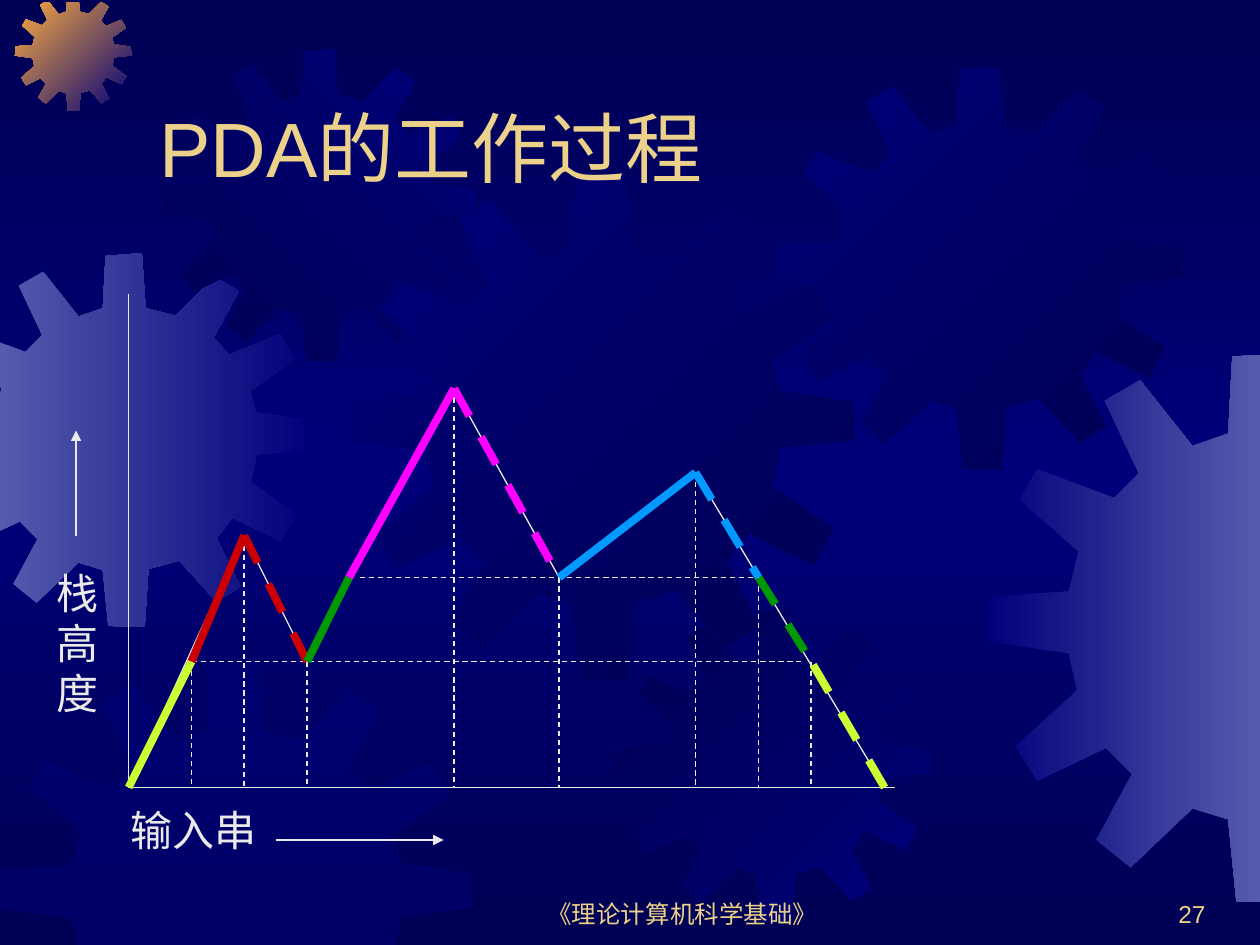
import copy
from dataclasses import dataclass
from typing import List, Optional, Tuple

import lxml.etree
import pptx
import pptx.dml.color
import pptx.enum.dml
import pptx.enum.shapes
import pptx.enum.text
import pptx.oxml.ns
import pptx.util

Pt = pptx.util.Pt
qn = pptx.oxml.ns.qn
ALIGN = pptx.enum.text.PP_ALIGN
ANCHOR = pptx.enum.text.MSO_ANCHOR
Point = Tuple[float, float]

WIDTH, HEIGHT, TOP_EDGE = 720, 540, 1.5
NAVY, BLUE, SLATE, ORANGE = "000054", "00007A", "555BAD", "FCAB40"
GOLD, WHITE = "EBD189", "EAEAEA"
LIME, RED, GREEN, SKY, MAGENTA = "CCFF33", "CC0000", "009900", "0099FF", "FF00FF"

GEAR_UNIT = 401
GEAR_OUTLINE = [
    (255, 67), (223, 59), (219, 0), (180, 3), (177, 59), (151, 68), (113, 20), (87, 35),
    (112, 88), (94, 106), (38, 85), (25, 107), (68, 145), (61, 174), (1, 178), (0, 210),
    (61, 219), (67, 246), (22, 287), (38, 312), (88, 288), (107, 307), (81, 355), (106, 375),
    (151, 332), (177, 340), (183, 400), (222, 401), (226, 339), (259, 330), (299, 374), (325, 358),
    (299, 306), (316, 284), (368, 309), (384, 281), (336, 246), (342, 216), (401, 210), (400, 180),
    (341, 171), (335, 148), (383, 114), (367, 87), (313, 109), (296, 91), (323, 41), (297, 25),
]


@dataclass
class Gear:
    left: float
    top: float
    size: float
    colors: Tuple[str, ...]
    angle: int = 0
    alpha: Optional[int] = None


@dataclass
class Label:
    text: str
    left: float
    top: float
    width: float
    height: float
    size: float
    color: str = GOLD
    font: str = "Arial"
    align: ALIGN = ALIGN.LEFT
    anchor: ANCHOR = ANCHOR.BOTTOM


@dataclass
class Line:
    start: Point
    end: Point
    color: str = WHITE
    width: float = 0.75
    dashed: bool = False
    arrow: bool = False


def rgb(value: str) -> pptx.dml.color.RGBColor:
    return pptx.dml.color.RGBColor.from_string(value)


def fill_gradient(fill, element, colors: Tuple[str, ...], angle: int) -> None:
    fill.gradient()
    fill.gradient_angle = (360 - angle) % 360
    stops = element.find(".//" + qn("a:gsLst"))
    for _ in colors[2:]:
        stops.append(copy.deepcopy(stops[0]))
    for i, (stop, color) in enumerate(zip(fill.gradient_stops, colors)):
        stop.position = i / (len(colors) - 1)
        stop.color.rgb = rgb(color)


def clip(points: List[Point], axis: int, limit: float, sign: int) -> List[Point]:
    kept = []
    for a, b in zip(points[-1:] + points[:-1], points):
        a_in, b_in = sign * (a[axis] - limit) >= 0, sign * (b[axis] - limit) >= 0
        if a_in != b_in:
            t = (limit - a[axis]) / (b[axis] - a[axis])
            kept.append((a[0] + t * (b[0] - a[0]), a[1] + t * (b[1] - a[1])))
        if b_in:
            kept.append(b)
    return kept


def draw_gear(s, gear: Gear) -> None:
    scale = gear.size / GEAR_UNIT
    points = [(gear.left + x * scale, gear.top + y * scale) for x, y in GEAR_OUTLINE]
    for axis, limit, sign in ((0, 0, 1), (0, WIDTH, -1), (1, TOP_EDGE, 1), (1, HEIGHT, -1)):
        points = clip(points, axis, limit, sign)
    points = [(Pt(x), Pt(y)) for x, y in points]
    builder = s.shapes.build_freeform(*points[0], scale=1.0)
    builder.add_line_segments(points[1:], close=True)
    sp = builder.convert_to_shape()
    sp.shadow.inherit = False
    sp.line.fill.background()
    if len(gear.colors) > 1:
        fill_gradient(sp.fill, sp._element, gear.colors, gear.angle)
    else:
        sp.fill.solid()
        sp.fill.fore_color.rgb = rgb(gear.colors[0])
    if gear.alpha is not None:
        color = sp._element.spPr.find(".//" + qn("a:srgbClr"))
        lxml.etree.SubElement(color, qn("a:alpha")).set("val", str(gear.alpha * 1000))


def draw_label(s, label: Label) -> None:
    sp = s.shapes.add_textbox(Pt(label.left), Pt(label.top), Pt(label.width), Pt(label.height))
    tf = sp.text_frame
    tf.word_wrap = True
    tf.vertical_anchor = label.anchor
    p = tf.paragraphs[0]
    p.alignment = label.align
    r = p.add_run()
    r.text = label.text
    r.font.name = label.font
    r.font.size = Pt(label.size)
    r.font.color.rgb = rgb(label.color)


def draw_line(s, line: Line) -> None:
    sp = s.shapes.add_connector(
        pptx.enum.shapes.MSO_CONNECTOR.STRAIGHT, *(Pt(v) for v in line.start + line.end))
    sp.line.color.rgb = rgb(line.color)
    sp.line.width = Pt(line.width)
    if line.dashed:
        sp.line.dash_style = pptx.enum.dml.MSO_LINE.DASH
    if line.arrow:
        lxml.etree.SubElement(sp.line._get_or_add_ln(), qn("a:tailEnd")).set("type", "triangle")
    lxml.etree.SubElement(sp._element.spPr, qn("a:effectLst"))


GEARS = [
    Gear(-35.5, 144.7, 213.5, (SLATE, BLUE)),
    Gear(8.6, -3, 66.4, (ORANGE, BLUE), 45),
    Gear(93.6, 28, 178.5, (NAVY, BLUE), 315),
    Gear(199.4, 100, 289, (BLUE, NAVY), 45),
    Gear(0, 378, 269.3, (BLUE,), alpha=50),
    Gear(353.5, 348.5, 178.5, (NAVY, BLUE), 45),
    Gear(445, 38, 230.5, (BLUE, NAVY), 45),
    Gear(563, 201.5, 314.5, (BLUE, SLATE)),
]

LABELS = [
    Label("《理论计算机科学基础》", 276, 498, 228, 36, 14, align=ALIGN.CENTER),
    Label("27", 546, 498, 150, 36, 14, align=ALIGN.RIGHT),
    Label("PDA的工作过程", 84, 24, 612, 90, 44),
    Label("输入串", 67.5, 456, 102, 36, 24, WHITE, "Arial Narrow", anchor=ANCHOR.TOP),
    Label("栈高度", 25.5, 320.5, 36, 93.5, 24, WHITE, "Arial Narrow", anchor=ANCHOR.TOP),
]

BASE, LOW, MIDDLE = 450, 378, 330
ORIGIN, FINISH = (73.5, BASE), (505.5, BASE)
LOW_RISE, LOW_FALL = (109.5, LOW), (463.5, LOW)
RED_PEAK, RED_VALLEY = (139.5, 306), (175.5, LOW)
MIDDLE_RISE, MIDDLE_FALL = (199.5, MIDDLE), (433.5, MIDDLE)
MAGENTA_PEAK, VALLEY, SKY_PEAK = (259.5, 222), (319.5, MIDDLE), (397.5, 270)

AXES = [
    Line(ORIGIN, (511.5, BASE)),
    Line(ORIGIN, (73.5, 168)),
    Line((157.5, 480), (253.5, 480), arrow=True),
    Line((43.5, 306), (43.5, 246), arrow=True),
]
PROFILE = [ORIGIN, RED_PEAK, RED_VALLEY, MAGENTA_PEAK, VALLEY, SKY_PEAK, FINISH]
DROPS = [LOW_RISE, LOW_FALL, (139.5, 312), RED_VALLEY, VALLEY, SKY_PEAK, MIDDLE_FALL, MAGENTA_PEAK]
LEVELS = [
    Line(LOW_RISE, (457.5, LOW), dashed=True),
    Line((205.5, MIDDLE), MIDDLE_FALL, dashed=True),
]
STAGES = [
    Line(LOW_RISE, ORIGIN, LIME, 4.5),
    Line(FINISH, LOW_FALL, LIME, 4.5, True),
    Line(RED_PEAK, LOW_RISE, RED, 4.5),
    Line(RED_VALLEY, RED_PEAK, RED, 4.5, True),
    Line(MIDDLE_RISE, RED_VALLEY, GREEN, 4.5),
    Line(MIDDLE_FALL, LOW_FALL, GREEN, 4.5, True),
    Line(SKY_PEAK, MIDDLE_FALL, SKY, 4.5, True),
    Line(SKY_PEAK, VALLEY, SKY, 4.5),
    Line(MAGENTA_PEAK, VALLEY, MAGENTA, 4.5, True),
    Line(MAGENTA_PEAK, MIDDLE_RISE, MAGENTA, 4.5),
]


def main() -> None:
    prs = pptx.Presentation()
    prs.slide_width, prs.slide_height = Pt(WIDTH), Pt(HEIGHT)
    s = prs.slides.add_slide(prs.slide_layouts[6])
    fill_gradient(s.background.fill, s._element, (NAVY, BLUE, NAVY), 90)
    for gear in GEARS:
        draw_gear(s, gear)
    for label in LABELS:
        draw_label(s, label)
    profile = [Line(a, b) for a, b in zip(PROFILE, PROFILE[1:])]
    drops = [Line(top, (top[0], BASE), dashed=True) for top in DROPS]
    for line in AXES + profile + LEVELS + drops + STAGES:
        draw_line(s, line)
    prs.save("out.pptx")


if __name__ == "__main__":
    main()
